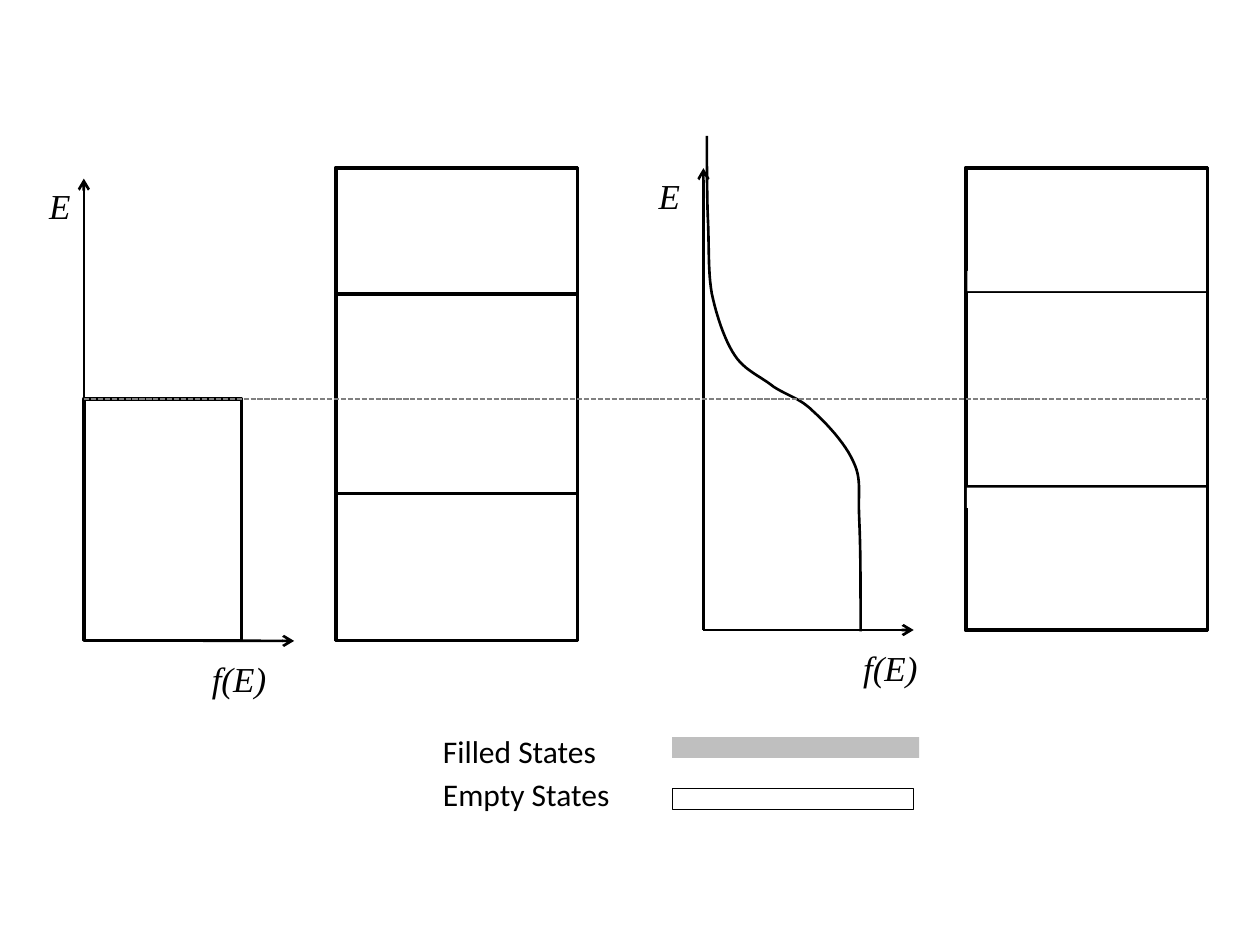
from dataclasses import dataclass
from lxml.etree import SubElement
from pptx import Presentation
from pptx.dml.color import RGBColor
from pptx.enum.dml import MSO_LINE
from pptx.enum.shapes import MSO_CONNECTOR, MSO_SHAPE
from pptx.enum.text import MSO_AUTO_SIZE
from pptx.oxml.ns import qn
from pptx.util import Cm, Pt


@dataclass(frozen=True)
class Theme:
    """Colours, fonts and type sizes of the slide."""
    ink: RGBColor = RGBColor(0, 0, 0)
    paper: RGBColor = RGBColor(255, 255, 255)
    filled: RGBColor = RGBColor(0xBF, 0xBF, 0xBF)
    fermi: RGBColor = RGBColor(0x80, 0x80, 0x80)
    symbol_font: str = "Times New Roman"
    symbol_size: int = 20
    legend_font: str = "Calibri"
    legend_size: int = 18


def add_box(left, top, width, height, fill=None, weight=2):
    """Draw a rectangle in cm; no fill or a zero weight leaves that part out."""
    box = slide.shapes.add_shape(
        MSO_SHAPE.RECTANGLE, Cm(left), Cm(top), Cm(width), Cm(height))
    box.shadow.inherit = False
    if fill is None:
        box.fill.background()
    else:
        box.fill.solid()
        box.fill.fore_color.rgb = fill
    if weight:
        box.line.color.rgb = theme.ink
        box.line.width = Pt(weight)
    else:
        box.line.fill.background()


def add_line(start, end, color, weight):
    """Draw a straight line between two points in cm and return it."""
    line = slide.shapes.add_connector(
        MSO_CONNECTOR.STRAIGHT, *[Cm(value) for value in (*start, *end)])
    line.line.color.rgb = color
    line.line.width = Pt(weight)
    SubElement(line._element.spPr, qn("a:effectLst"))
    return line


theme = Theme()
presentation = Presentation()
presentation.slide_width, presentation.slide_height = Cm(25.4), Cm(19.05)
slide = presentation.slides.add_slide(presentation.slide_layouts[6])

# Axes: origin, top of the energy axis, end of the f(E) axis
for origin, energy_end, occupancy_end in [
    ((1.69, 12.91), (1.69, 3.6), (5.93, 12.92)),
    ((14.18, 12.7), (14.18, 3.39), (18.42, 12.7)),
]:
    for end in (energy_end, occupancy_end):
        axis = add_line(origin, end, theme.ink, 1.5)
        SubElement(axis.line._get_or_add_ln(), qn("a:tailEnd"), type="arrow")

# Step distribution and energy bands
band_width = 4.87
add_box(1.69, 8.04, 3.18, 4.87)
for left, bottom, valence_top, conduction_height in [
    (6.77, 12.91, 9.95, 2.54),
    (19.47, 12.7, 9.81, 2.49),
]:
    add_box(left, valence_top, band_width, bottom - valence_top, theme.paper)
    add_box(left, 3.39, band_width, conduction_height)
    add_box(left, 3.39, band_width, bottom - 3.39)

# Pale strips at the edges of the right-hand bands
add_box(19.49, 9.83, 4.82, 0.41, theme.paper, 0)
add_box(19.5, 5.46, 4.81, 0.41, theme.paper, 0)

# Smooth distribution: each segment holds two control points and an end
curve_start = (17.35, 12.73)
curve_segments = [
    ((17.35, 11.86), (17.35, 11.0), (17.32, 10.41)),
    ((17.3, 9.86), (17.37, 9.65), (17.2, 9.3)),
    ((17.04, 8.94), (16.66, 8.53), (16.38, 8.28)),
    ((16.13, 8.03), (15.88, 7.98), (15.6, 7.8)),
    ((15.34, 7.59), (15.01, 7.47), (14.81, 7.16)),
    ((14.61, 6.86), (14.45, 6.38), (14.35, 5.92)),
    ((14.27, 5.46), (14.3, 4.93), (14.27, 4.39)),
    ((14.25, 3.86), (14.25, 2.74), (14.25, 2.74)),
]
steps = 12
curve_points = []
segment_start = curve_start
for control_1, control_2, segment_end in curve_segments:
    for step in range(1, steps + 1):
        t = step / steps
        curve_points.append(tuple(
            Cm((1 - t) ** 3 * a + 3 * (1 - t) ** 2 * t * b
               + 3 * (1 - t) * t ** 2 * c + t ** 3 * d)
            for a, b, c, d in zip(segment_start, control_1, control_2, segment_end)))
    segment_start = segment_end
builder = slide.shapes.build_freeform(*[Cm(value) for value in curve_start])
builder.add_line_segments(curve_points, close=False)
distribution = builder.convert_to_shape()
distribution.shadow.inherit = False
distribution.fill.background()
distribution.line.color.rgb = theme.ink
distribution.line.width = Pt(1.5)

fermi_level = add_line((1.69, 8.04), (24.34, 8.04), theme.fermi, 1)
fermi_level.line.dash_style = MSO_LINE.SQUARE_DOT

# Legend swatches
add_box(13.55, 14.86, 4.98, 0.42, theme.filled, 0)
add_box(13.55, 15.9, band_width, 0.41, theme.paper, 0.5)

# Axis symbols and legend wording
symbol = (theme.symbol_font, theme.symbol_size, True)
legend = (theme.legend_font, theme.legend_size, False)
for wording, left, top, width, height, (font_name, size, italic) in [
    ("E", 0.74, 3.6, 0.94, 1.11, symbol),
    ("E", 13.03, 3.39, 0.94, 1.11, symbol),
    ("f(E)", 4.02, 13.13, 1.63, 1.11, symbol),
    ("f(E)", 17.15, 12.91, 1.63, 1.11, symbol),
    ("Filled States", 8.68, 14.63, 3.63, 1.02, legend),
    ("Empty States", 8.68, 15.49, 3.91, 1.02, legend),
]:
    label = slide.shapes.add_textbox(Cm(left), Cm(top), Cm(width), Cm(height))
    label.text_frame.text = wording
    label.text_frame.word_wrap = False
    label.text_frame.auto_size = MSO_AUTO_SIZE.SHAPE_TO_FIT_TEXT
    font = label.text_frame.paragraphs[0].runs[0].font
    font.name, font.size, font.italic = font_name, Pt(size), italic
    font.color.rgb = theme.ink

presentation.save("out.pptx")
